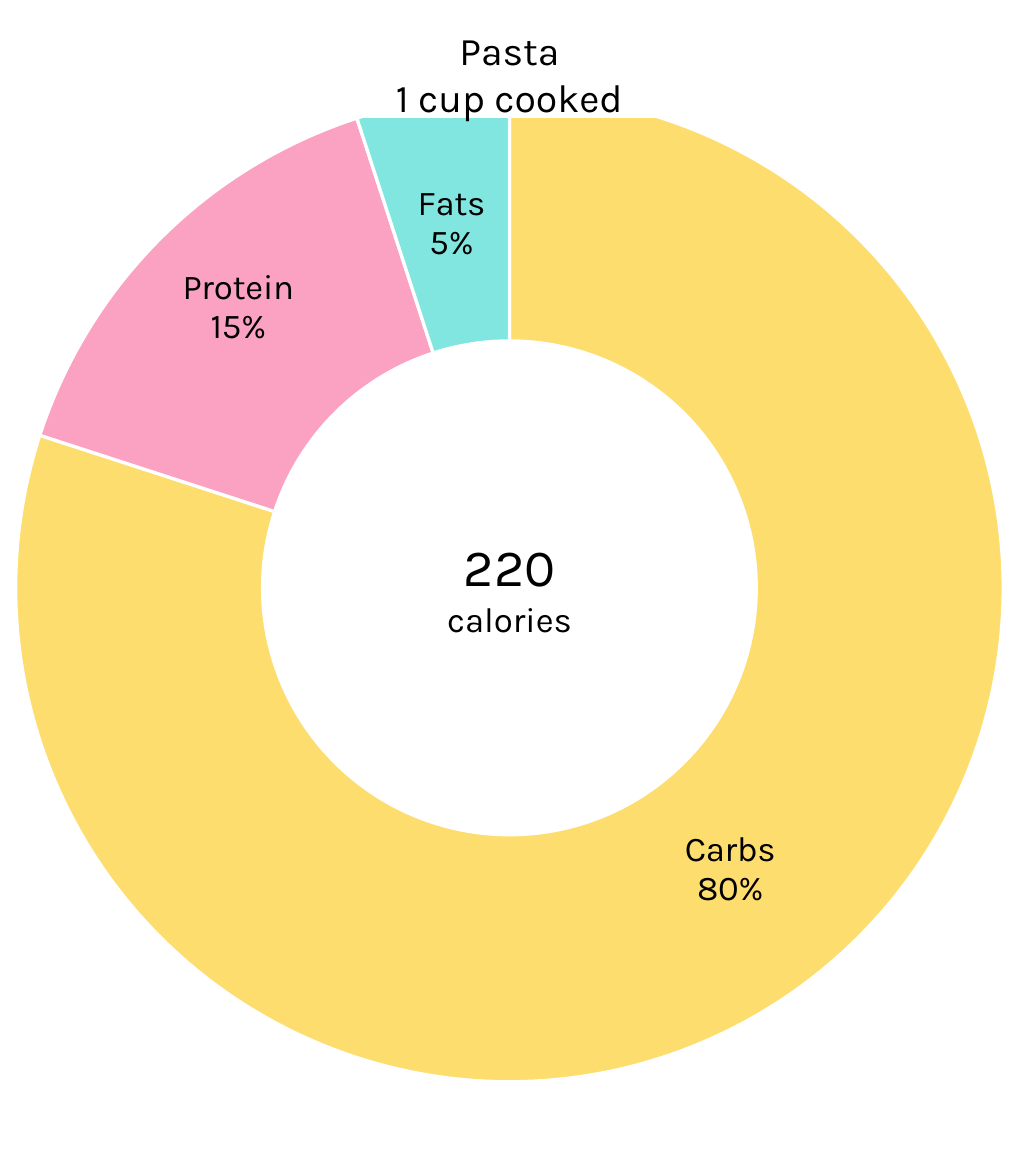
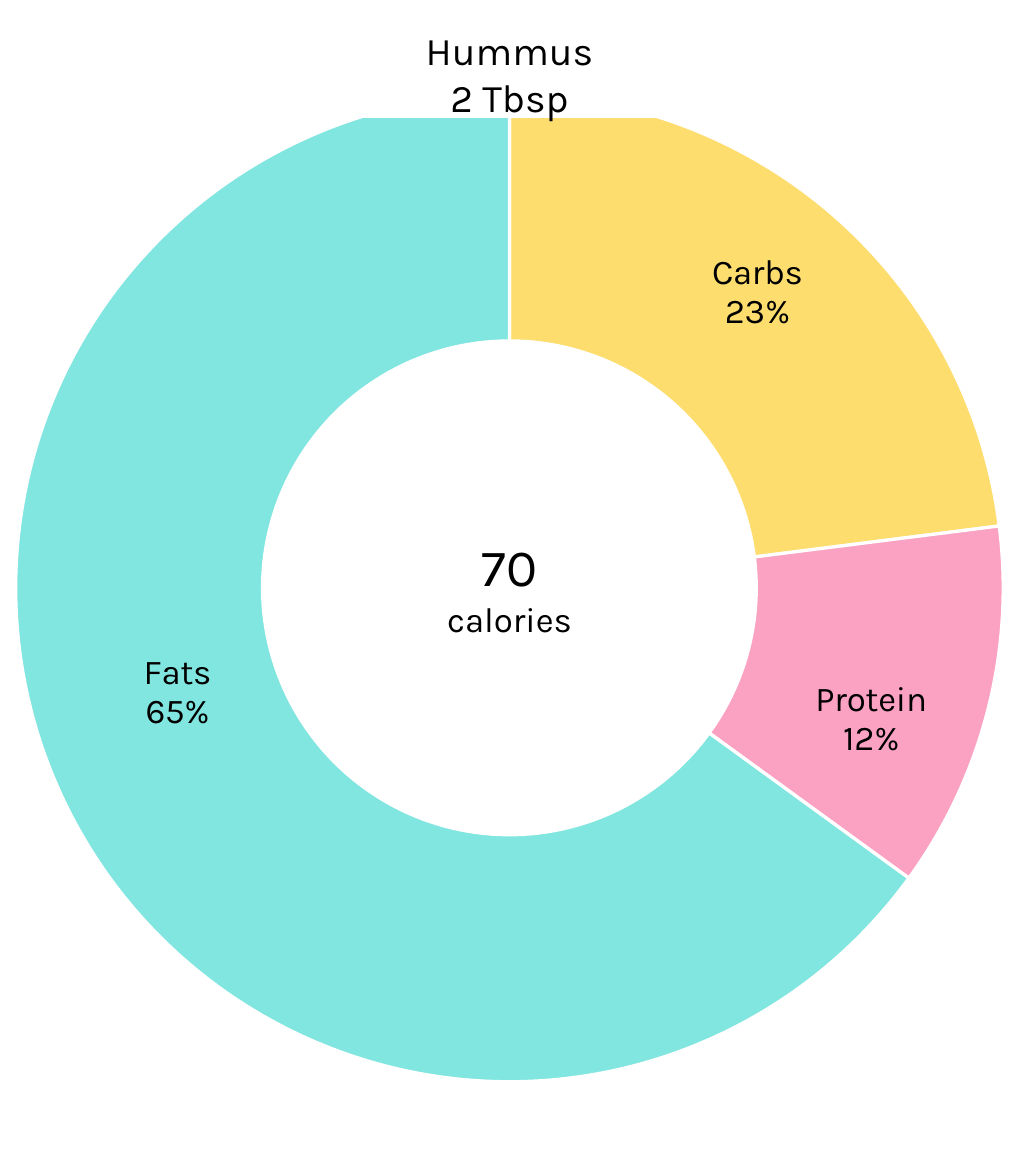
"""Build two doughnut slides that show the macronutrients of a food portion."""
from lxml import etree
from pptx import Presentation
from pptx.chart.data import CategoryChartData
from pptx.dml.color import RGBColor
from pptx.enum.chart import XL_CHART_TYPE as CHART
from pptx.enum.shapes import MSO_SHAPE as SHAPE
from pptx.enum.text import MSO_ANCHOR as ANCHOR, PP_ALIGN as ALIGN
from pptx.oxml import parse_xml
from pptx.oxml.ns import nsdecls, qn
from pptx.util import Inches, Pt

BLACK = RGBColor(0x00, 0x00, 0x00)
WHITE = RGBColor(0xFF, 0xFF, 0xFF)
YELLOW = RGBColor(0xFD, 0xDD, 0x6E)
PINK = RGBColor(0xFB, 0xA1, 0xC1)
AQUA = RGBColor(0x81, 0xE5, 0xE0)

NUTRIENTS = {"Carbs": YELLOW, "Protein": PINK, "Fats": AQUA}
FOODS = [
    ("Pasta", "1 cup cooked", 220, (0.8, 0.15, 0.05),
     ((0.3, -1.5), (-0.9, -1.6), (0, 0.1))),
    ("Hummus", "2 Tbsp", 70, (0.23, 0.12, 0.65),
     ((0.3, -1.5), (0.3, 3.4), (-0.2, -5.4))),
]


def write(tf, *lines, sizes=(16, 16), font="Karla", color=BLACK):
    for i, (line, size) in enumerate(zip(lines, sizes)):
        p = tf.paragraphs[0] if i == 0 else tf.add_paragraph()
        p.alignment = ALIGN.CENTER
        r = p.add_run()
        r.text = line
        r.font.name, r.font.size = font, Pt(size)
        r.font.color.rgb = color


def set_layout(parent, index, **settings):
    for old in parent.findall(qn("c:layout")):
        parent.remove(old)
    layout = parse_xml(f"<c:layout {nsdecls('c')}><c:manualLayout/></c:layout>")
    for tag, val in settings.items():
        etree.SubElement(layout[0], qn(f"c:{tag}")).set("val", str(val))
    parent.insert(index, layout)


class Deck:
    def __init__(self, width, height):
        self.prs = Presentation()
        self.prs.slide_width, self.prs.slide_height = Inches(width), Inches(height)

    def new_slide(self):
        self.s = self.prs.slides.add_slide(self.prs.slide_layouts[6])

    def box(self, *percents):
        sides = (self.prs.slide_width, self.prs.slide_height) * 2
        return [round(side * percent / 100) for side, percent in zip(sides, percents)]

    def doughnut(self, values, shifts, *area):
        data = CategoryChartData(number_format="0%")
        data.categories = list(NUTRIENTS)
        data.add_series("Series 1", values)
        chart = self.s.shapes.add_chart(CHART.DOUGHNUT, *self.box(*area), data).chart
        chart.has_legend = chart.has_title = False
        chart.font.name, chart.font.size = "Calibri", Pt(10)
        chart.font.color.rgb = BLACK
        plot = chart.plots[0]
        plot.vary_by_categories = True
        series = plot.series[0]
        labels = series.data_labels
        labels.show_value = labels.show_category_name = True
        labels.number_format, labels.number_format_is_linked = "0%", False
        labels.font.name, labels.font.size = "Calibri", Pt(12)
        labels.font.color.rgb = BLACK
        for i, ((name, color), value) in enumerate(zip(NUTRIENTS.items(), values)):
            point = series.points[i]
            point.format.fill.solid()
            point.format.fill.fore_color.rgb = color
            point.format.line.color.rgb = WHITE
            point.format.line.width = Pt(1.5)
            write(point.data_label.text_frame, name, f"{value:.0%}")
        for label, (dx, dy) in zip(chart.element.iter(qn("c:dLbl")), shifts):
            label.find(qn("c:showCatName")).set("val", "1")
            set_layout(label, 1, x=dx / 100, y=dy / 100)
        set_layout(chart.element.find(".//" + qn("c:plotArea")), 0, layoutTarget="inner",
                   xMode="edge", yMode="edge", x=0.02, y=0.08, w=0.96, h=0.84)

    def centre_text(self, calories, *area):
        tf = self.s.shapes.add_textbox(*self.box(*area)).text_frame
        tf.word_wrap = False
        write(tf, str(calories), "calories", sizes=(24, 16))

    def title(self, food, portion, *area):
        sp = self.s.shapes.add_shape(SHAPE.RECTANGLE, *self.box(*area))
        sp.shadow.inherit = False
        sp.fill.solid()
        sp.fill.fore_color.rgb = sp.line.color.rgb = WHITE
        sp.line.width = Pt(1)
        sp.text_frame.vertical_anchor = ANCHOR.MIDDLE
        write(sp.text_frame, food, portion, sizes=(18, 18))


def main():
    deck = Deck(6.5, 7.5)
    for food, portion, calories, values, shifts in FOODS:
        deck.new_slide()
        deck.doughnut(values, shifts, -0.6, 0, 101.2, 100)
        deck.centre_text(calories, 41.3, 44.8, 17.4, 10.3)
        deck.title(food, portion, 23, 2.55, 54, 7.4)
    deck.prs.save("out.pptx")


if __name__ == "__main__":
    main()
